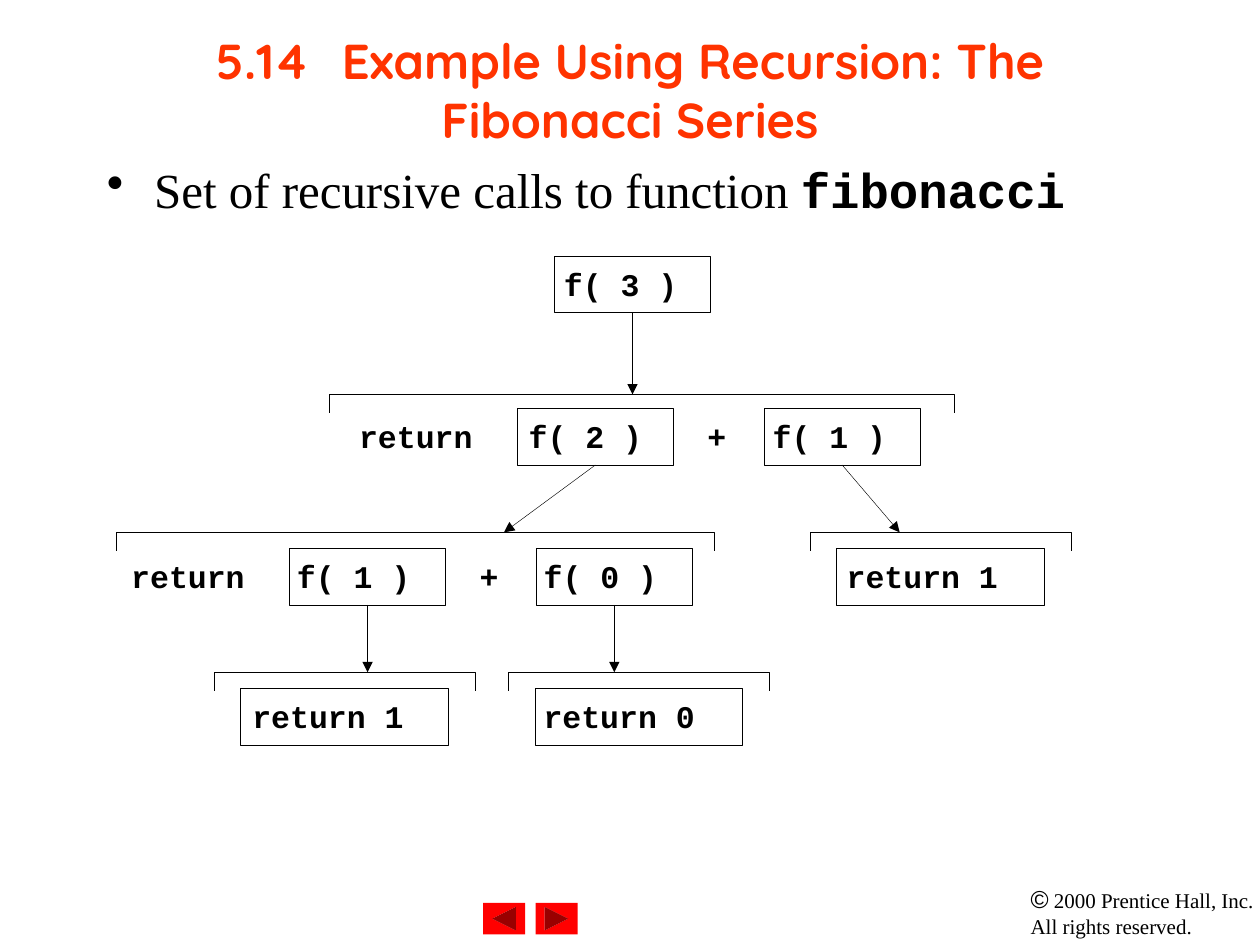
import lxml.etree
import pptx
import pptx.dml.color
import pptx.enum.shapes
import pptx.enum.text
import pptx.oxml
import pptx.oxml.ns
import pptx.util

Pt = pptx.util.Pt
SHAPES = pptx.enum.shapes.MSO_SHAPE
ANCHOR = pptx.enum.text.MSO_ANCHOR
ALIGN = pptx.enum.text.PP_ALIGN
BLACK = "000000"
CODE = {"name": "Courier New", "size": Pt(18), "bold": True}
CALL_WIDTH, RETURN_WIDTH, BOX_HEIGHT = 89.3, 118.8, 32.5


def color(hex_string):
    """Turn a hex string into a colour."""
    return pptx.dml.color.RGBColor.from_string(hex_string)


def apply(target, values):
    """Set every attribute in a dict of format values."""
    for name, value in values.items():
        setattr(target, name, value)


def add_element(parent, tag, **attributes):
    """Append a namespaced XML element to its parent."""
    element = lxml.etree.SubElement(parent, pptx.oxml.ns.qn(tag))
    for name, value in attributes.items():
        element.set(name, str(value))
    return element


def format_frame(shape, left=7.2, top=3.6, right=7.2, bottom=3.6, anchor=ANCHOR.TOP, wrap=True):
    """Set insets, anchor and wrapping, and return the first paragraph."""
    frame = shape.text_frame
    apply(frame, {
        "margin_left": Pt(left), "margin_top": Pt(top), "margin_right": Pt(right),
        "margin_bottom": Pt(bottom), "vertical_anchor": anchor, "word_wrap": wrap,
    })
    return frame.paragraphs[0]


def add_run(paragraph, text, values, hex_string=BLACK):
    """Add a formatted run to a paragraph."""
    run = paragraph.add_run()
    run.text = text
    apply(run.font, values)
    run.font.color.rgb = color(hex_string)


def add_text_box(slide, left, top, width, height):
    """Add an empty text box measured in points."""
    return slide.shapes.add_textbox(Pt(left), Pt(top), Pt(width), Pt(height))


def outline(shape):
    """Give a shape a thin black line without fill or shadow."""
    shape.shadow.inherit = False
    shape.fill.background()
    shape.line.color.rgb = color(BLACK)
    shape.line.width = Pt(0.25)


def draw_title(slide, left, top, width, height):
    """Place the centred title with its tabbed section number."""
    shape = add_text_box(slide, left, top, width, height)
    paragraph = format_frame(shape, anchor=ANCHOR.MIDDLE)
    paragraph.alignment = ALIGN.CENTER
    tabs = add_element(paragraph._p.get_or_add_pPr(), "a:tabLst")
    for inch in range(8):
        add_element(tabs, "a:tab", pos=Pt(72 * inch), algn="l")
    add_run(paragraph, "5.14\tExample Using Recursion: The Fibonacci Series",
            {"name": "Quicksand", "size": Pt(28), "bold": True}, "FF3300")


def draw_body(slide, left, top, width, height):
    """Place the bulleted sentence."""
    paragraph = format_frame(add_text_box(slide, left, top, width, height), top=7.1)
    properties = paragraph._p.get_or_add_pPr()
    properties.set("marL", str(Pt(27)))
    properties.set("indent", str(-Pt(27)))
    add_element(add_element(properties, "a:buClr"), "a:srgbClr", val=BLACK)
    add_element(properties, "a:buChar", char="•")
    add_run(paragraph, "Set of recursive calls to function ",
            {"name": "Times New Roman", "size": Pt(28)})
    add_run(paragraph, "fibonacci", {**CODE, "size": Pt(28)})


def draw_box(slide, left, top, width, text, inset):
    """Draw one framed call or return value."""
    shape = slide.shapes.add_shape(SHAPES.RECTANGLE, Pt(left), Pt(top), Pt(width), Pt(BOX_HEIGHT))
    outline(shape)
    paragraph = format_frame(shape, left=inset, top=5, right=0, bottom=0)
    paragraph.alignment = ALIGN.LEFT
    add_run(paragraph, text, CODE)
    return shape


def draw_label(slide, left, top, width, text):
    """Draw unframed code beside the boxes."""
    shape = add_text_box(slide, left, top, width, 25)
    add_run(format_frame(shape, 0, 0, 0, 0, wrap=False), text, CODE)


def draw_bracket(slide, left, top, width, depth=10.5):
    """Draw a bracket that opens downward."""
    builder = slide.shapes.build_freeform(Pt(left + width), Pt(top + depth))
    builder.add_line_segments(
        [(Pt(left + width), Pt(top)), (Pt(left), Pt(top)), (Pt(left), Pt(top + depth))], close=False)
    outline(builder.convert_to_shape())


def draw_sum(slide, left, top, width, box_gap, label_offset, first, second):
    """Draw a bracketed return of two added calls and give back their boxes."""
    draw_bracket(slide, left, top, width)
    box_top = top + box_gap
    first_left = left + label_offset + 90.4
    draw_label(slide, left + label_offset, box_top + 5, 80, "return")
    draw_label(slide, first_left + 108.7, box_top + 5, 20, "+")
    return [draw_box(slide, first_left + shift, box_top, CALL_WIDTH, *call)
            for shift, call in ((0, first), (141, second))]


def draw_result(slide, left, top, width, text, inset):
    """Draw a bracketed base-case return value."""
    draw_bracket(slide, left, top, width)
    draw_box(slide, left + 15, top + 8.9, RETURN_WIDTH, text, inset)


def draw_arrow(slide, box, end_left, end_top):
    """Join the bottom of a box to a point by an arrow."""
    start_left, start_top = box.left + box.width // 2, box.top + box.height
    connector = slide.shapes.add_connector(
        pptx.enum.shapes.MSO_CONNECTOR.STRAIGHT, start_left, start_top,
        start_left if end_left is None else Pt(end_left), Pt(end_top))
    connector.begin_connect(box, 2)
    connector.line.color.rgb = color(BLACK)
    connector.line.width = Pt(0.25)
    add_element(connector.line._get_or_add_ln(), "a:tailEnd", type="triangle")
    add_element(connector._element.spPr, "a:effectLst")


def draw_call_tree(slide, left, top):
    """Draw the tree of recursive calls."""
    second, third, fourth = top + 79.2, top + 158, top + 238
    root = draw_box(slide, left + 250.6, top, CALL_WIDTH, "f( 3 )", 5.5)
    two, one = draw_sum(slide, left + 121.7, second, 357.1, 7.8, 17.3,
                        ("f( 2 )", 6.5), ("f( 1 )", 5))
    inner_one, zero = draw_sum(slide, left, third, 342, 8.9, 8.8,
                               ("f( 1 )", 4.3), ("f( 0 )", 4.3))
    draw_result(slide, left + 396.8, third, 149, "return 1", 5.8)
    draw_result(slide, left + 56.2, fourth, 149, "return 1", 6.8)
    draw_result(slide, left + 224.4, fourth, 149, "return 0", 5)
    for box, end_left, end_top in (
            (root, None, second), (two, left + 221.8, third), (one, left + 447.9, third),
            (inner_one, None, fourth), (zero, None, fourth)):
        draw_arrow(slide, box, end_left, end_top)


def draw_navigation(slide, left, top, width, height, pitch):
    """Draw the back and forward buttons."""
    kinds = (SHAPES.ACTION_BUTTON_BACK_OR_PREVIOUS, SHAPES.ACTION_BUTTON_FORWARD_OR_NEXT)
    for index, kind in enumerate(kinds):
        shape = slide.shapes.add_shape(kind, Pt(left + index * pitch), Pt(top), Pt(width), Pt(height))
        shape.shadow.inherit = False
        shape.fill.solid()
        shape.fill.fore_color.rgb = color("FF0000")
        shape.line.fill.background()


def draw_copyright(slide, left, top, width, height):
    """Place the copyright line."""
    paragraph = format_frame(add_text_box(slide, left, top, width, height), right=0)
    serif = {"name": "Times New Roman", "size": Pt(12)}
    add_run(paragraph, "©", {"name": "Arial", "size": Pt(14)})
    add_run(paragraph, " 2000 Prentice Hall, Inc.", serif)
    paragraph.add_line_break()
    add_run(paragraph, "All rights reserved.", serif)


def main():
    """Build and save the slide."""
    presentation = pptx.Presentation()
    apply(presentation, {"slide_width": Pt(720), "slide_height": Pt(540)})
    slide = presentation.slides.add_slide(presentation.slide_layouts[6])
    draw_navigation(slide, 276, 516, 24, 18, 30)
    draw_copyright(slide, 581.8, 501.8, 138.2, 38)
    draw_title(slide, 54, 6, 612, 90)
    draw_body(slide, 54, 84, 612, 426)
    draw_call_tree(slide, 66.2, 146.2)
    presentation.save("out.pptx")


if __name__ == "__main__":
    main()
